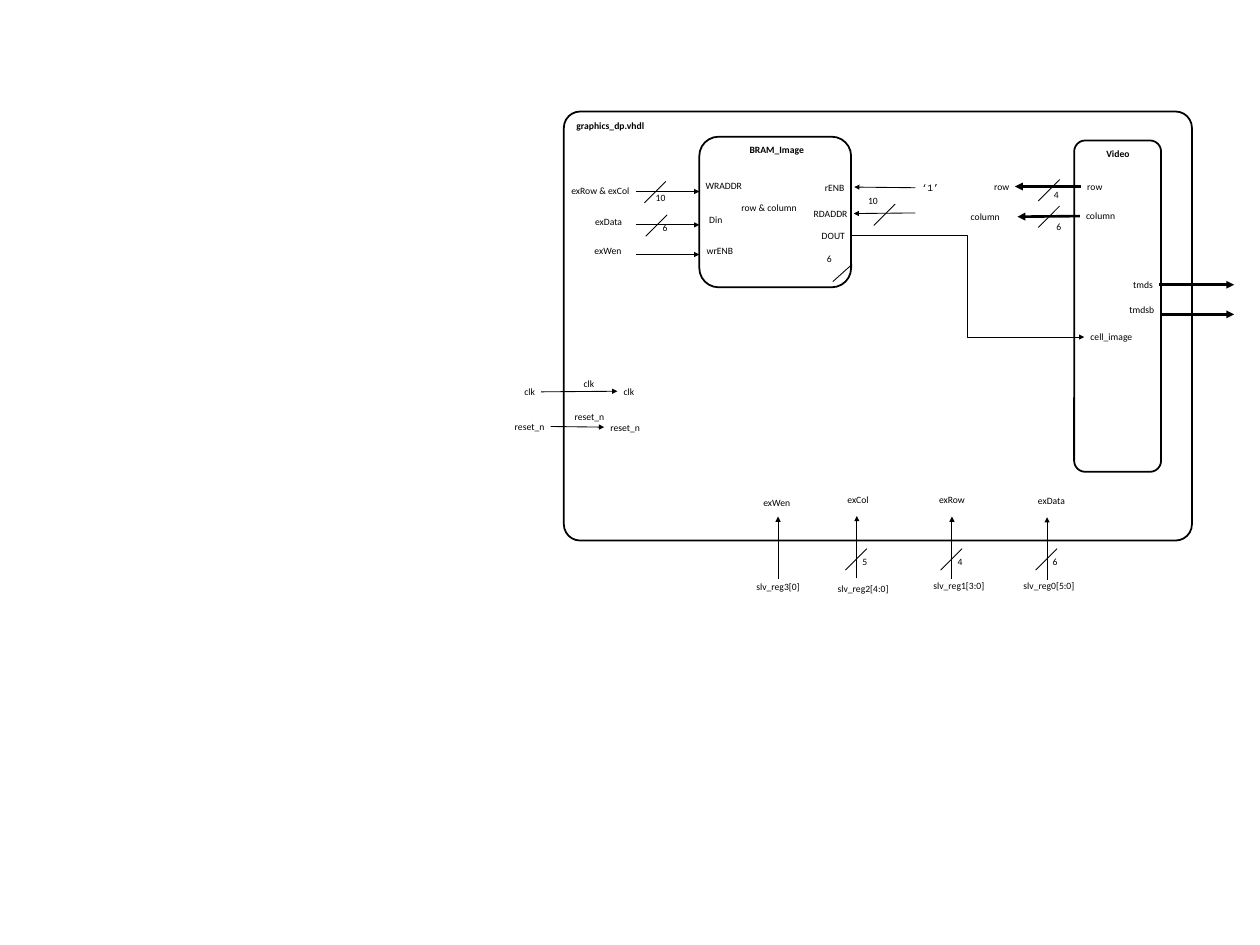
from dataclasses import dataclass

from lxml import etree
from pptx import Presentation
from pptx.dml.color import RGBColor
from pptx.enum.shapes import MSO_CONNECTOR, MSO_SHAPE
from pptx.enum.text import PP_ALIGN
from pptx.oxml.ns import qn
from pptx.util import Inches, Pt

STRAIGHT, ELBOW = MSO_CONNECTOR.STRAIGHT, MSO_CONNECTOR.ELBOW
ROUNDED = MSO_SHAPE.ROUNDED_RECTANGLE
LEFT, CENTER, RIGHT = PP_ALIGN.LEFT, PP_ALIGN.CENTER, PP_ALIGN.RIGHT


@dataclass(frozen=True)
class Theme:
    ink: RGBColor = RGBColor(0, 0, 0)
    font: str = "Calibri"
    code_font: str = "Courier New"
    text_size: float = 11
    fine: float = 0.75
    wire: float = 1
    outline: float = 2
    bus: float = 3
    label_height: float = 0.29
    slash: float = 0.34


class Diagram:
    """Draws the blocks, signals and labels of a circuit on one slide."""

    def __init__(self, slide, theme):
        self.slide = slide
        self.theme = theme

    def block(self, left, top, width, height, corner):
        shape = self.slide.shapes.add_shape(
            ROUNDED, Inches(left), Inches(top), Inches(width), Inches(height))
        shape.adjustments[0] = corner
        shape.shadow.inherit = False
        shape.fill.background()
        shape.line.color.rgb = self.theme.ink
        shape.line.width = Pt(self.theme.outline)

    def label(self, text, left, top, width, align=LEFT, bold=False, font=None):
        box = self.slide.shapes.add_textbox(
            Inches(left), Inches(top), Inches(width), Inches(self.theme.label_height))
        box.text_frame.word_wrap = True
        paragraph = box.text_frame.paragraphs[0]
        paragraph.text = text
        paragraph.alignment = align
        paragraph.font.name = font or self.theme.font
        paragraph.font.size = Pt(self.theme.text_size)
        paragraph.font.bold = bold
        paragraph.font.color.rgb = self.theme.ink

    def line(self, start, end, weight, kind=STRAIGHT, arrow=True):
        connector = self.slide.shapes.add_connector(
            kind, *(Inches(value) for value in (*start, *end)))
        connector.line.color.rgb = self.theme.ink
        connector.line.width = Pt(weight)
        if arrow:
            outline = connector.line._get_or_add_ln()
            etree.SubElement(outline, qn("a:tailEnd"), type="triangle")
        etree.SubElement(connector._element.spPr, qn("a:effectLst"))

    def bus_slash(self, left, top, width=None, height=None):
        width = width or self.theme.slash
        height = height or self.theme.slash
        self.line((left, top + height), (left + width, top), self.theme.wire, arrow=False)


def draw_blocks(diagram):
    diagram.block(8.95, 1.77, 9.97, 6.81, 0.038)
    diagram.block(17.05, 2.23, 1.38, 5.26, 0.128)
    diagram.block(11.1, 2.17, 2.41, 2.39, 0.128)
    diagram.label("graphics_dp.vhdl", 9.05, 1.86, 2.75, bold=True)
    diagram.label("Video", 17.2, 2.3, 1.09, CENTER, bold=True)
    diagram.label("BRAM_Image", 11.2, 2.23, 2.26, CENTER, bold=True)


def draw_port_labels(diagram):
    for text, left, top, width, align in (
        ("exRow & exCol", 7.53, 2.88, 2.56, RIGHT),
        ("exData", 8.82, 3.37, 1.68, CENTER),
        ("exWen", 8.81, 3.83, 1.68, CENTER),
        ("WRADDR", 11.1, 2.81, 1.42, LEFT),
        ("Din", 11.16, 3.35, 1.46, LEFT),
        ("wrENB", 11.12, 3.84, 1.03, LEFT),
        ("row & column", 11.67, 3.16, 2.07, LEFT),
        ("rENB", 12.15, 2.83, 1.35, RIGHT),
        ("RDADDR", 12.2, 3.25, 1.35, RIGHT),
        ("DOUT", 12.16, 3.6, 1.35, RIGHT),
        ("row", 14.88, 2.82, 1.24, RIGHT),
        ("column", 15.31, 3.29, 0.84, LEFT),
        ("row", 17.16, 2.82, 1.46, LEFT),
        ("column", 17.14, 3.28, 1.46, LEFT),
        ("tmds", 17.32, 4.38, 1.08, RIGHT),
        ("tmdsb", 17.34, 4.78, 1.08, RIGHT),
        ("cell_image", 17.21, 5.2, 1.57, LEFT),
        ("clk", 8.01, 6.08, 0.58, RIGHT),
        ("clk", 8.95, 5.95, 0.58, RIGHT),
        ("clk", 9.8, 6.07, 0.58, LEFT),
        ("reset_n", 7.6, 6.63, 1.14, RIGHT),
        ("reset_n", 8.55, 6.48, 1.14, RIGHT),
        ("reset_n", 9.59, 6.64, 1.02, LEFT),
    ):
        diagram.label(text, left, top, width, align)
    diagram.label("‘1’", 14.53, 2.84, 0.66, font=diagram.theme.code_font)


def draw_signals(diagram):
    theme = diagram.theme
    for y in (3.04, 3.57, 4.04):
        diagram.line((10.09, y), (11.1, y), theme.wire)
    for start, end, weight in (
        ((14.53, 2.98), (13.56, 2.97), theme.wire),
        ((14.53, 3.38), (13.55, 3.39), theme.wire),
        ((8.59, 6.22), (9.8, 6.21), theme.wire),
        ((8.74, 6.77), (9.59, 6.78), theme.wire),
        ((17.16, 2.96), (16.11, 2.96), theme.bus),
        ((17.14, 3.43), (16.15, 3.44), theme.bus),
        ((18.4, 4.52), (19.59, 4.52), theme.bus),
        ((18.42, 4.99), (19.59, 4.99), theme.bus),
    ):
        diagram.line(start, end, weight)
    diagram.line((13.5, 3.74), (17.21, 5.35), theme.fine, ELBOW)


def draw_bus_widths(diagram):
    for bits, left, top, slash_left, slash_top in (
        ("10", 10.31, 3.0, 10.23, 2.88),
        ("6", 10.42, 3.47, 10.25, 3.41),
        ("10", 13.68, 3.04, 13.87, 3.24),
        ("4", 16.63, 2.95, 16.48, 2.85),
        ("6", 16.67, 3.45, 16.48, 3.27),
    ):
        diagram.label(bits, left, top, 0.62)
        diagram.bus_slash(slash_left, slash_top)
    diagram.label("6", 12.8, 3.96, 0.5, RIGHT)
    diagram.bus_slash(13.22, 4.21, 0.29, 0.26)


def draw_registers(diagram):
    for signal, signal_left, signal_top, register, left, top, x, arrow_top, bits in (
        ("exWen", 11.49, 7.84, "slv_reg3[0]", 11.51, 9.17, 12.35, 8.2, None),
        ("exCol", 12.78, 7.79, "slv_reg2[4:0]", 12.86, 9.2, 13.6, 8.19, "5"),
        ("exRow", 14.27, 7.79, "slv_reg1[3:0]", 14.38, 9.16, 15.11, 8.2, "4"),
        ("exData", 15.85, 7.8, "slv_reg0[5:0]", 15.81, 9.16, 16.62, 8.21, "6"),
    ):
        diagram.label(signal, signal_left, signal_top, 1.68, CENTER)
        diagram.label(register, left, top, 1.68, CENTER)
        diagram.line((x, arrow_top + 0.99), (x, arrow_top), diagram.theme.wire)
        if bits:
            diagram.label(bits, x - 0.01, 8.78, 0.62)
            diagram.bus_slash(x - 0.18, 8.71)


def main():
    presentation = Presentation()
    presentation.slide_width = Inches(20)
    presentation.slide_height = Inches(15)
    blank_layout = presentation.slide_layouts[6]
    diagram = Diagram(presentation.slides.add_slide(blank_layout), Theme())
    draw_blocks(diagram)
    draw_port_labels(diagram)
    draw_signals(diagram)
    draw_bus_widths(diagram)
    draw_registers(diagram)
    presentation.save("out.pptx")


if __name__ == "__main__":
    main()
